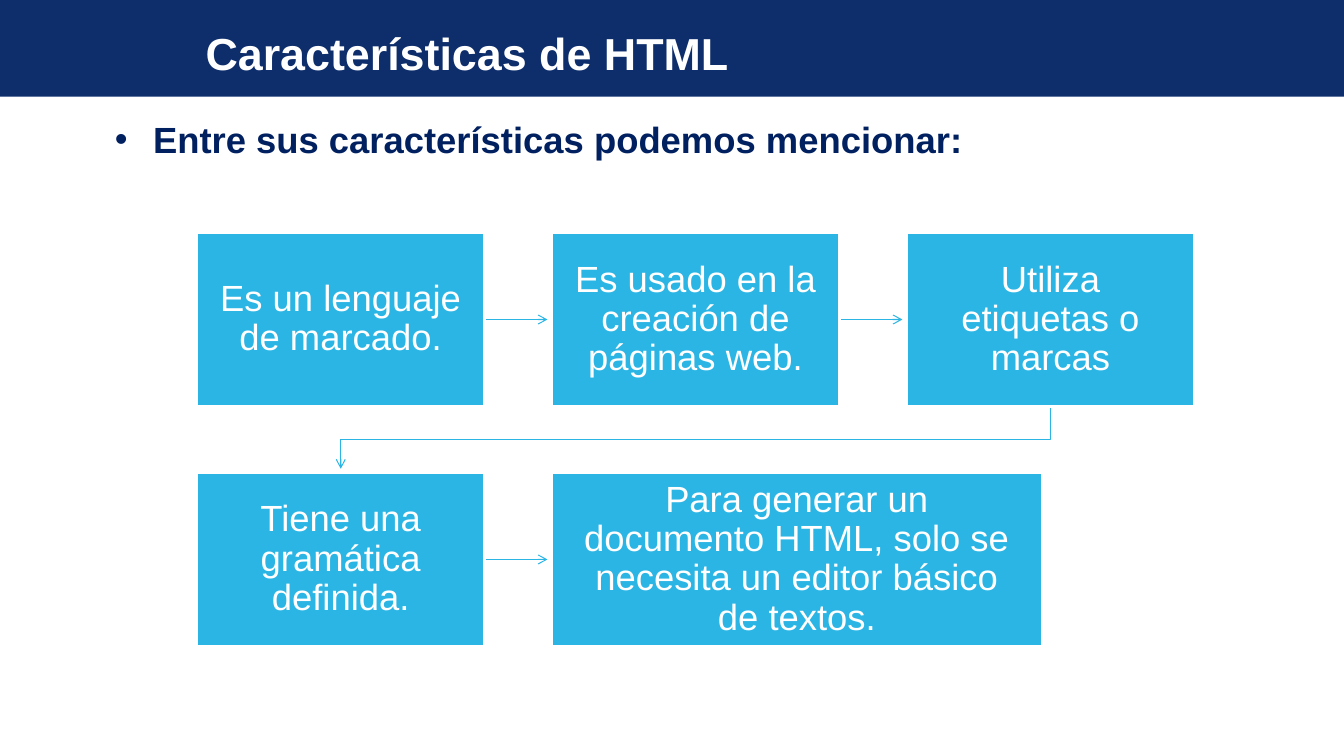
from lxml.etree import SubElement
from pptx import Presentation
from pptx.dml.color import RGBColor
from pptx.enum.shapes import MSO_CONNECTOR, MSO_SHAPE
from pptx.enum.text import MSO_ANCHOR, PP_ALIGN
from pptx.oxml.ns import qn
from pptx.util import Inches, Pt

NAVY = RGBColor(0x0D, 0x2D, 0x6B)
DARK_BLUE = RGBColor(0x00, 0x20, 0x60)
SKY = RGBColor(0x2B, 0xB5, 0xE4)
WHITE = RGBColor(0xFF, 0xFF, 0xFF)

SLIDE_W, SLIDE_H = Inches(13.33), Inches(7.5)

# Grid of the flow: three columns by two rows
GRID_LEFT, GRID_TOP = Inches(1.95), Inches(2.31)
STEP_W, STEP_H = Inches(2.86), Inches(1.72)
COL_PITCH, ROW_PITCH = Inches(3.52), Inches(2.38)
WIDE_STEP_W = Inches(4.87)
ARROW_GAP = Inches(0.04)
RIGHT_SIDE = 3

# Text, column, row, width
STEPS = [
    ("Es un lenguaje de marcado.", 0, 0, STEP_W),
    ("Es usado en la creación de páginas web.", 1, 0, STEP_W),
    ("Utiliza etiquetas o marcas", 2, 0, STEP_W),
    ("Tiene una gramática definida.", 0, 1, STEP_W),
    ("Para generar un documento HTML, solo se necesita un editor básico de textos.",
     1, 1, WIDE_STEP_W),
]
# Indexes of the steps that lead straight to the next one
STRAIGHT_STARTS = [0, 1, 3]


def column_left(col):
    return GRID_LEFT + col * COL_PITCH


def row_top(row):
    return GRID_TOP + row * ROW_PITCH


def write(frame, text, size, color, bold=False):
    frame.word_wrap = True
    frame.text = text
    paragraph = frame.paragraphs[0]
    paragraph.line_spacing = 0.9
    font = paragraph.runs[0].font
    font.name, font.size, font.bold = "Arial", Pt(size), bold
    font.color.rgb = color
    return paragraph


def add_band(slide):
    band = slide.shapes.add_shape(MSO_SHAPE.RECTANGLE, 0, 0, SLIDE_W, Inches(0.96))
    band.shadow.inherit = False
    band.fill.solid()
    band.fill.fore_color.rgb = NAVY
    band.line.fill.background()


def add_title(slide, text):
    title = slide.shapes.add_textbox(Inches(1.94), Inches(0.15), Inches(10.74), Inches(0.81))
    title.text_frame.vertical_anchor = MSO_ANCHOR.MIDDLE
    write(title.text_frame, text, 32, WHITE, bold=True)


def add_bullet(slide, text):
    intro = slide.shapes.add_textbox(Inches(0.92), Inches(1.16), Inches(11.5), Inches(0.81))
    paragraph = write(intro.text_frame, text, 26, DARK_BLUE, bold=True)
    paragraph.space_before = Pt(10)
    properties = paragraph.runs[0].font._element.getparent().getparent().get_or_add_pPr()
    properties.set("marL", str(Inches(0.5)))
    properties.set("indent", str(Inches(-0.38)))
    bullet_color = SubElement(properties, qn("a:buClr"))
    SubElement(bullet_color, qn("a:srgbClr")).set("val", str(DARK_BLUE))
    SubElement(properties, qn("a:buFont")).set("typeface", "Arial")
    SubElement(properties, qn("a:buChar")).set("char", "•")


def style_arrow(arrow):
    arrow.line.color.rgb = SKY
    arrow.line.width = Pt(0.75)
    properties = arrow.element.spPr
    SubElement(properties.find(qn("a:ln")), qn("a:tailEnd")).set("type", "arrow")
    SubElement(properties, qn("a:effectLst"))


def add_straight_arrow(slide, col, row):
    middle = row_top(row) + STEP_H // 2
    arrow = slide.shapes.add_connector(
        MSO_CONNECTOR.STRAIGHT, column_left(col) + STEP_W, middle,
        column_left(col + 1) - ARROW_GAP, middle)
    style_arrow(arrow)
    return arrow


def add_return_arrow(slide):
    start_x, end_x = (column_left(col) + STEP_W // 2 for col in (2, 0))
    start_y, end_y = row_top(0) + STEP_H, row_top(1) - ARROW_GAP
    turn_y = (row_top(0) + STEP_H + row_top(1)) // 2
    outline = slide.shapes.build_freeform(start_x, start_y)
    outline.add_line_segments(
        [(start_x, turn_y), (end_x, turn_y), (end_x, end_y)], close=False)
    arrow = outline.convert_to_shape()
    arrow.fill.background()
    style_arrow(arrow)


def add_step(slide, text, col, row, width):
    step = slide.shapes.add_shape(
        MSO_SHAPE.RECTANGLE, column_left(col), row_top(row), width, STEP_H)
    step.shadow.inherit = False
    step.fill.solid()
    step.fill.fore_color.rgb = SKY
    step.line.color.rgb = WHITE
    step.line.width = Pt(2)
    frame = step.text_frame
    frame.margin_left = frame.margin_right = Inches(0.2)
    frame.margin_top = frame.margin_bottom = Inches(0.2)
    frame.vertical_anchor = MSO_ANCHOR.MIDDLE
    write(frame, text, 26, WHITE).alignment = PP_ALIGN.CENTER
    return step


def main():
    presentation = Presentation()
    presentation.slide_width, presentation.slide_height = SLIDE_W, SLIDE_H
    slide = presentation.slides.add_slide(presentation.slide_layouts[6])

    # Heading and introduction
    add_band(slide)
    add_title(slide, "Características de HTML")
    add_bullet(slide, "Entre sus características podemos mencionar:")

    # Arrows lie behind the steps
    arrows = {}
    for index in STRAIGHT_STARTS:
        _, col, row, _ = STEPS[index]
        arrows[index] = add_straight_arrow(slide, col, row)
    add_return_arrow(slide)

    # Steps, joined to the arrows that leave them
    steps = [add_step(slide, *step) for step in STEPS]
    for index, arrow in arrows.items():
        arrow.begin_connect(steps[index], RIGHT_SIDE)

    presentation.save("out.pptx")


if __name__ == "__main__":
    main()
